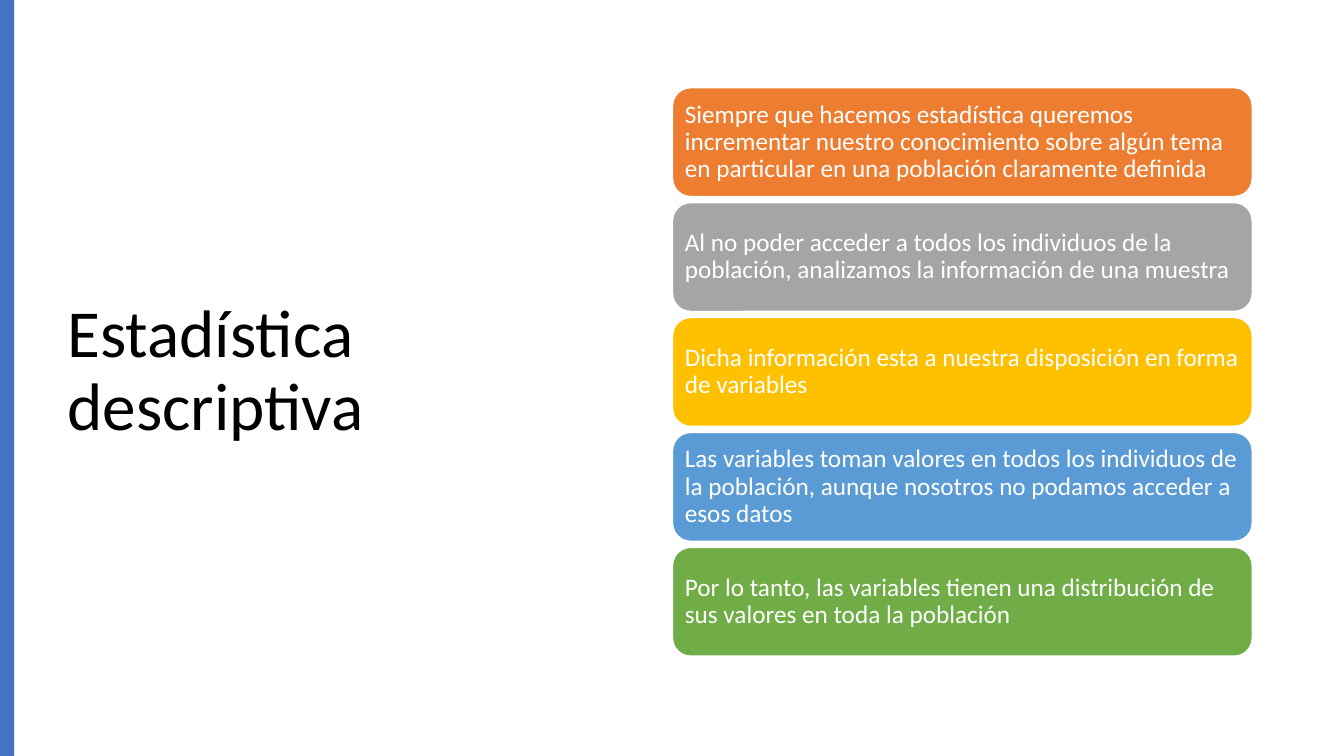
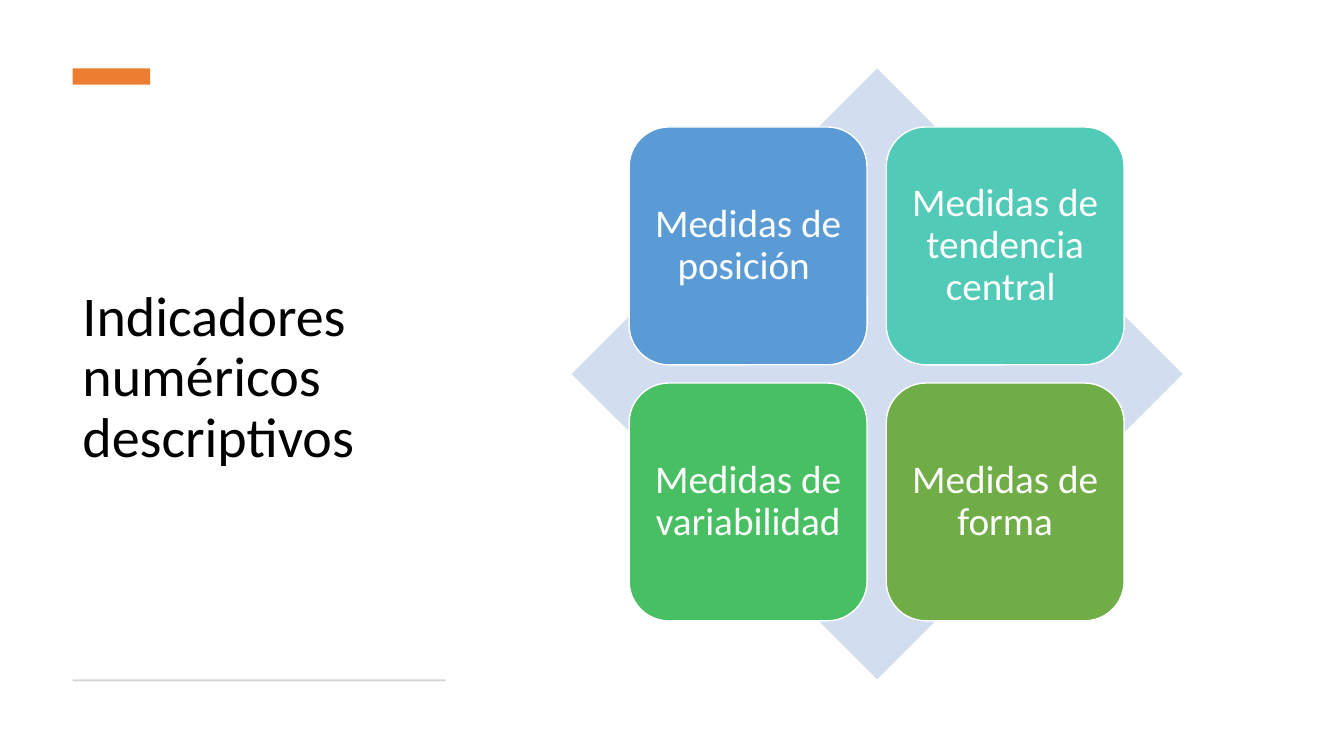
from pptx import Presentation
from pptx.dml.color import RGBColor
from pptx.enum import shapes, text
from pptx.util import Inches, Pt

FONT = "Calibri"
BLACK = RGBColor(0x00, 0x00, 0x00)
WHITE = RGBColor(0xFF, 0xFF, 0xFF)
NAVY = RGBColor(0x44, 0x72, 0xC4)
ORANGE = RGBColor(0xED, 0x7D, 0x31)
GRAY = RGBColor(0xA5, 0xA5, 0xA5)
GOLD = RGBColor(0xFF, 0xC0, 0x00)
BLUE = RGBColor(0x5B, 0x9B, 0xD5)
GREEN = RGBColor(0x70, 0xAD, 0x47)
TEAL = RGBColor(0x52, 0xCA, 0xB8)
EMERALD = RGBColor(0x49, 0xBF, 0x64)
PALE_BLUE = RGBColor(0xD2, 0xDE, 0xEF)
RULE_GRAY = RGBColor(0xD5, 0xD5, 0xD5)

RECTANGLE = shapes.MSO_SHAPE.RECTANGLE
ROUNDED = shapes.MSO_SHAPE.ROUNDED_RECTANGLE
DIAMOND = shapes.MSO_SHAPE.DIAMOND


def add_block(slide, kind, box, fill, outline=None):
    block = slide.shapes.add_shape(kind, *map(Inches, box))
    block.shadow.inherit = False
    block.fill.solid()
    block.fill.fore_color.rgb = fill
    if outline is None:
        block.line.fill.background()
    else:
        block.line.color.rgb = outline
        block.line.width = Pt(1)
    return block


def write(holder, words, size, color=WHITE, align=text.PP_ALIGN.LEFT, inset=(0.1, 0.05)):
    frame = holder.text_frame
    frame.word_wrap = True
    frame.vertical_anchor = text.MSO_ANCHOR.MIDDLE
    frame.margin_left = frame.margin_right = Inches(inset[0])
    frame.margin_top = frame.margin_bottom = Inches(inset[1])
    paragraph = frame.paragraphs[0]
    paragraph.alignment = align
    paragraph.line_spacing = 0.9
    run = paragraph.add_run()
    run.text = words
    run.font.name = FONT
    run.font.size = Pt(size)
    run.font.color.rgb = color


deck = Presentation()
deck.slide_width = Inches(13.33)
deck.slide_height = Inches(7.5)
blank = deck.slide_layouts[6]

headings = [
    ("Estadística descriptiva", (0.57, 0.68, 5.67, 6.02), 48),
    ("Indicadores numéricos descriptivos", (0.72, 1.05, 3.7, 5.41), 40),
]
for words, box, size in headings:
    heading = deck.slides.add_slide(blank).shapes.add_textbox(*map(Inches, box))
    write(heading, words, size, color=BLACK)
statistics, indicators = deck.slides

add_block(statistics, RECTANGLE, (0, 0, 0.14, 7.5), NAVY)
statements = [
    ("Siempre que hacemos estadística queremos incrementar nuestro conocimiento "
     "sobre algún tema en particular en una población claramente definida", ORANGE),
    ("Al no poder acceder a todos los individuos de la población, "
     "analizamos la información de una muestra", GRAY),
    ("Dicha información esta a nuestra disposición en forma de variables", GOLD),
    ("Las variables toman valores en todos los individuos de la población, "
     "aunque nosotros no podamos acceder a esos datos", BLUE),
    ("Por lo tanto, las variables tienen una distribución de sus valores "
     "en toda la población", GREEN),
]
for row, (words, fill) in enumerate(statements):
    statement = add_block(statistics, ROUNDED, (6.67, 0.87 + row * 1.14, 5.75, 1.08), fill, WHITE)
    write(statement, words, 18, inset=(0.07, 0.07))

add_block(indicators, RECTANGLE, (0.72, 0.68, 0.77, 0.16), ORANGE)
add_block(indicators, RECTANGLE, (0.72, 6.74, 3.7, 0.02), RULE_GRAY)
add_block(indicators, DIAMOND, (5.67, 0.68, 6.06, 6.06), PALE_BLUE)
measures = [
    ("Medidas de posición ", BLUE),
    ("Medidas de tendencia central ", TEAL),
    ("Medidas de variabilidad ", EMERALD),
    ("Medidas de forma", GREEN),
]
for index, (words, fill) in enumerate(measures):
    row, column = divmod(index, 2)
    box = (6.24 + column * 2.55, 1.26 + row * 2.54, 2.36, 2.36)
    measure = add_block(indicators, ROUNDED, box, fill, WHITE)
    write(measure, words, 28, align=text.PP_ALIGN.CENTER, inset=(0.12, 0.12))

deck.save("out.pptx")
